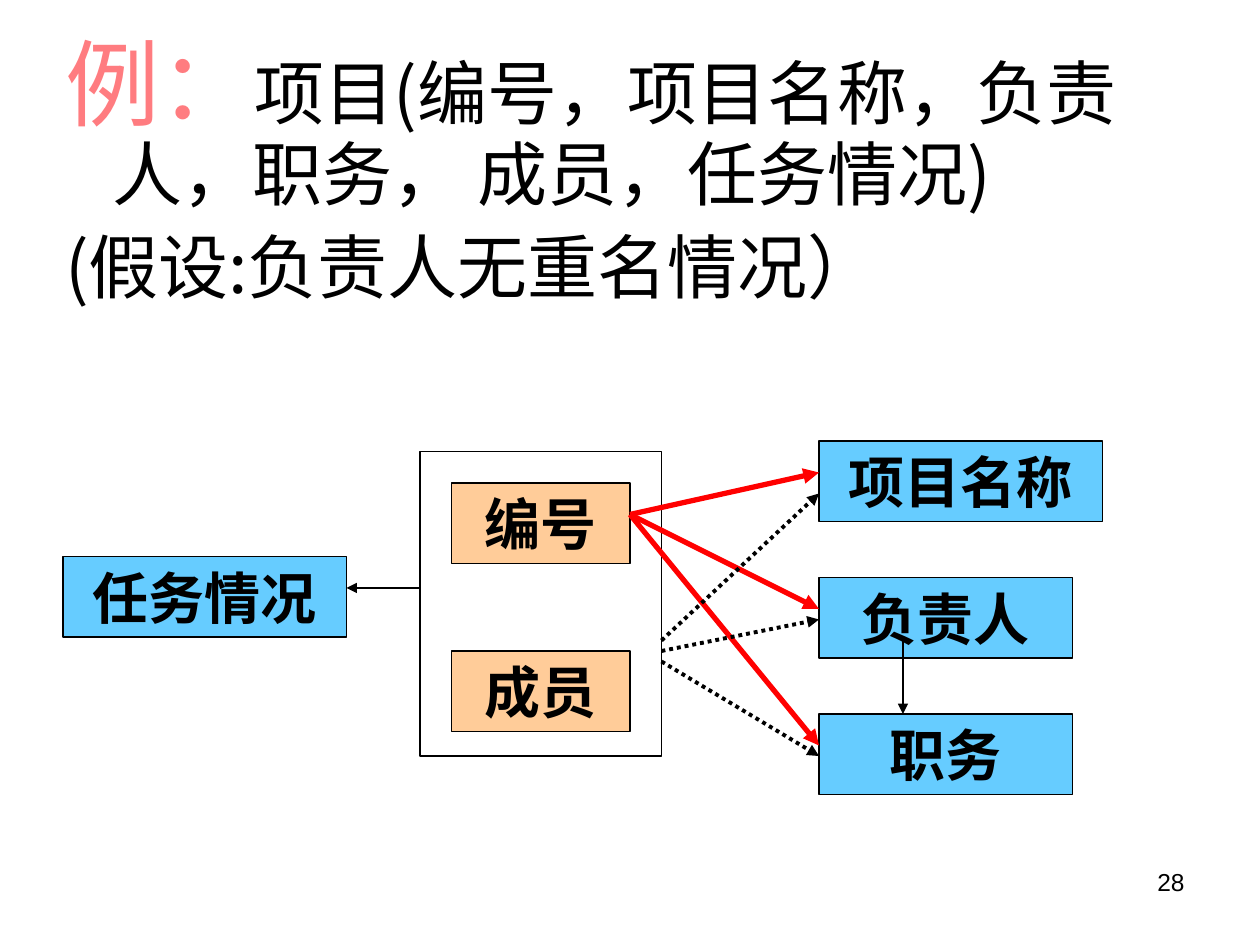
from lxml.etree import SubElement
from pptx import Presentation
from pptx.dml.color import RGBColor
from pptx.enum.dml import MSO_LINE_DASH_STYLE as Dash
from pptx.enum.shapes import MSO_CONNECTOR as Connector, MSO_SHAPE as Shape
from pptx.enum.text import MSO_ANCHOR as Anchor, MSO_AUTO_SIZE as AutoSize, PP_ALIGN as Align
from pptx.oxml.ns import qn
from pptx.util import Pt

BLACK, RED, BLUE, ORANGE, PINK = "000000", "FF0000", "66CCFF", "FFCC99", "FF7C80"
CJK = "Noto Sans CJK SC"


def color(hex_value):
    return RGBColor.from_string(hex_value)


def apply(target, values):
    for name, value in values.items():
        setattr(target, name, value)


class DependencySlide:
    """Draws the parts of a functional dependency diagram on one slide."""

    frame_format = {"word_wrap": True, "auto_size": AutoSize.NONE}
    body_format = {"line_spacing": 0.9, "alignment": Align.LEFT}
    attribute_font = {"name": "Times New Roman", "size": Pt(32), "bold": True}
    number_font = {"name": "Arial", "size": Pt(14)}
    box_height = 46

    def __init__(self, deck):
        self.slide = deck.slides.add_slide(deck.slide_layouts[1])
        title = self.slide.shapes.title._element
        title.getparent().remove(title)

    def wording(self, paragraph, words, font, ink=BLACK):
        run = paragraph.add_run()
        run.text = words
        apply(run.font, font)
        run.font.color.rgb = color(ink)
        SubElement(run._r.get_or_add_rPr(), qn("a:ea")).set("typeface", CJK)

    def body(self, left, top, width, height, paragraphs):
        statement = self.slide.placeholders[1]
        apply(statement, {"left": Pt(left), "top": Pt(top),
                          "width": Pt(width), "height": Pt(height)})
        frame = statement.text_frame
        apply(frame, {**self.frame_format, "vertical_anchor": Anchor.TOP})
        for index, parts in enumerate(paragraphs):
            paragraph = frame.add_paragraph() if index else frame.paragraphs[0]
            properties = paragraph._p.get_or_add_pPr()
            properties.set("marL", str(Pt(27)))
            properties.set("indent", str(-Pt(27)))
            SubElement(properties, qn("a:buNone"))
            apply(paragraph, {**self.body_format, "space_before": Pt(10 if index else 0)})
            for words, size, ink in parts:
                self.wording(paragraph, words, {"name": CJK, "size": Pt(size)}, ink)

    def rectangle(self, left, top, width, height, fill=None):
        box = self.slide.shapes.add_shape(
            Shape.RECTANGLE, Pt(left), Pt(top), Pt(width), Pt(height))
        box.shadow.inherit = False
        if fill:
            box.fill.solid()
            box.fill.fore_color.rgb = color(fill)
        else:
            box.fill.background()
        box.line.color.rgb = color(BLACK)
        box.line.width = Pt(0.75)
        return box

    def attribute(self, words, left, top, width, fill):
        frame = self.rectangle(left, top, width, self.box_height, fill).text_frame
        apply(frame, {**self.frame_format, "vertical_anchor": Anchor.MIDDLE})
        paragraph = frame.paragraphs[0]
        paragraph.alignment = Align.CENTER
        self.wording(paragraph, words, self.attribute_font)

    def arrow(self, start, end, ink=BLACK, width=0.75, dash=None):
        link = self.slide.shapes.add_connector(
            Connector.STRAIGHT, *(Pt(length) for length in (*start, *end)))
        link.line.color.rgb = color(ink)
        apply(link.line, {"width": Pt(width), "dash_style": dash})
        properties = link._element.spPr
        SubElement(properties.find(qn("a:ln")), qn("a:tailEnd")).set("type", "triangle")
        SubElement(properties, qn("a:effectLst"))

    def page_number(self, words, left, top, width, height):
        frame = self.slide.shapes.add_textbox(
            Pt(left), Pt(top), Pt(width), Pt(height)).text_frame
        apply(frame, self.frame_format)
        frame.paragraphs[0].alignment = Align.RIGHT
        self.wording(frame.paragraphs[0], words, self.number_font)


def main():
    deck = Presentation()
    apply(deck, {"slide_width": Pt(720), "slide_height": Pt(540)})
    page = DependencySlide(deck)
    page.page_number("28", 516, 492, 168, 37.5)
    page.body(30, 18, 648, 174, [
        [("例：", 54, PINK),
         ("项目(编号，项目名称，负责人，职务， 成员，任务情况)", 40, BLACK)],
        [("(假设:负责人无重名情况）", 40, BLACK)],
    ])

    key_left, key_right, frame_right, result_left = 258, 360, 378, 468
    for words, left, top, width, fill in [
        ("编号", key_left, 276, 102, ORANGE),
        ("成员", key_left, 372, 102, ORANGE),
        ("项目名称", result_left, 252, 162, BLUE),
        ("负责人", result_left, 330, 145, BLUE),
        ("职务", result_left, 408, 145, BLUE),
        ("任务情况", 36, 318, 162, BLUE),
    ]:
        page.attribute(words, left, top, width, fill)
    page.rectangle(240, 258, 138, 174)

    page.arrow((240, 336), (198, 336))
    page.arrow((516, 366), (516, 408))
    for full_end in (270, 348, 426):
        page.arrow((key_right, 294), (result_left, full_end), RED, 3)
    for partial_start, partial_end in ((366, 282), (372, 354), (378, 432)):
        page.arrow((frame_right, partial_start), (result_left, partial_end),
                   BLACK, 2.25, Dash.ROUND_DOT)
    deck.save("out.pptx")


if __name__ == "__main__":
    main()
